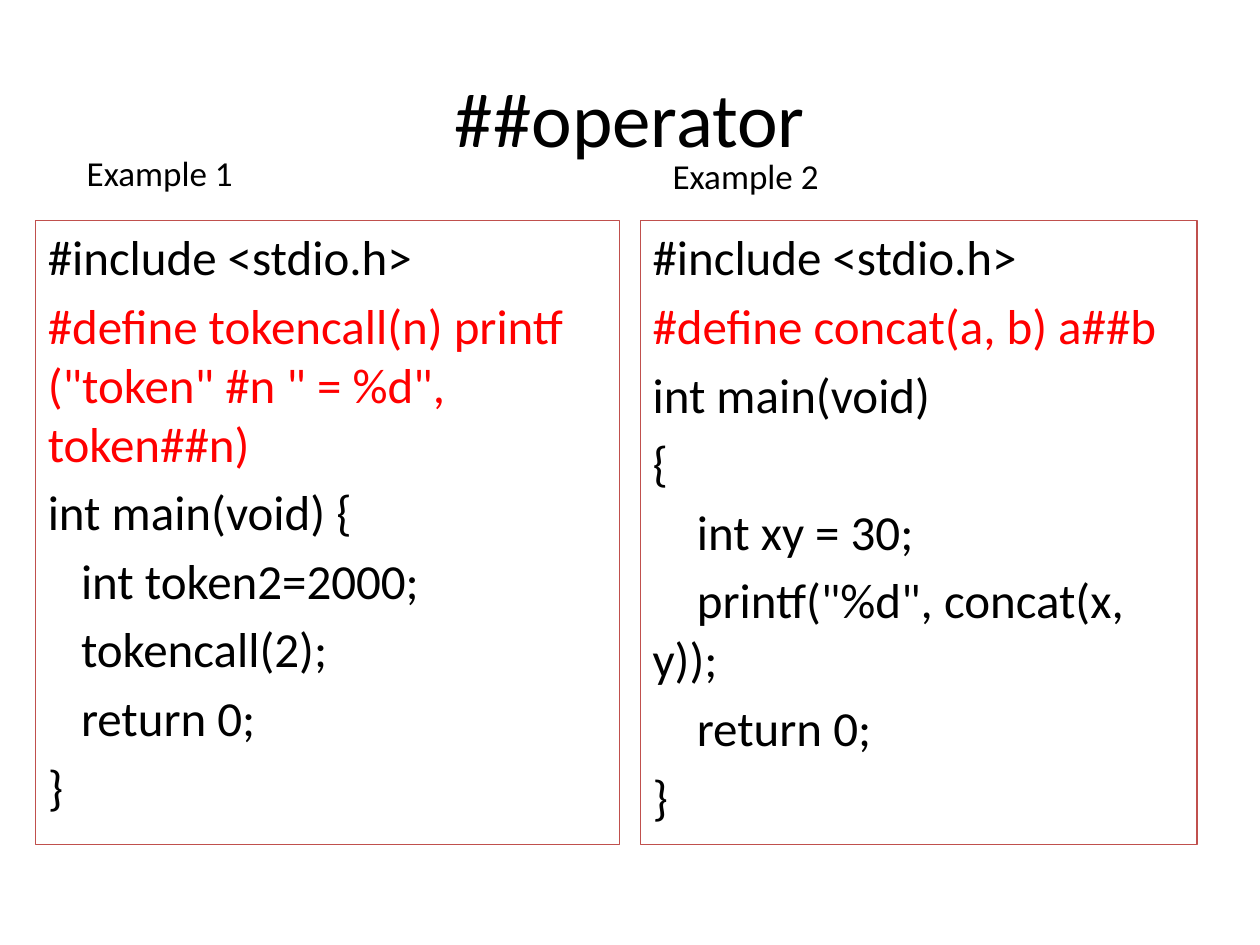
from dataclasses import dataclass

from pptx import Presentation
from pptx.dml.color import RGBColor
from pptx.enum.shapes import MSO_SHAPE as Shape
from pptx.enum.text import MSO_ANCHOR as Anchor, MSO_AUTO_SIZE as AutoSize, PP_ALIGN as Align
from pptx.util import Pt


@dataclass(frozen=True)
class Theme:
    font: str = "Calibri"
    ink: RGBColor = RGBColor(0, 0, 0)
    macro: RGBColor = RGBColor(255, 0, 0)
    border: RGBColor = RGBColor(0xC0, 0x50, 0x4D)
    title_size: int = 44
    code_size: int = 28
    label_size: int = 20


THEME = Theme()
CODE_TOP, CODE_HEIGHT = 126, 356.4

# Each code line is (text, is indented, is macro)
EXAMPLES = [
    dict(label="Example 1", label_at=(42.5, 82.8), left=20.2, width=334, indent=19, code=[
        ("#include <stdio.h>", False, False),
        ('#define tokencall(n) printf ("token" #n " = %d", token##n)', False, True),
        ("int main(void) {", False, False),
        ("int token2=2000;", True, False),
        ("tokencall(2);", True, False),
        ("return 0;", True, False),
        ("}", False, False),
    ]),
    dict(label="Example 2", label_at=(377.3, 85), left=365.8, width=318.2, indent=25.3, code=[
        ("#include <stdio.h>", False, False),
        ("#define concat(a, b) a##b", False, True),
        ("int main(void)", False, False),
        ("{", False, False),
        ("int xy = 30;", True, False),
        ('printf("%d", concat(x, y));', True, False),
        ("return 0;", True, False),
        ("}", False, False),
    ]),
]


def apply(target, formats):
    for name, value in formats.items():
        setattr(target, name, value)


def write(paragraph, text, size, color=THEME.ink, **formats):
    apply(paragraph, {"alignment": Align.LEFT, **formats})
    run = paragraph.add_run()
    run.text = text
    apply(run.font, {"name": THEME.font, "size": Pt(size)})
    run.font.color.rgb = color


def add_title(slide, text):
    title = slide.shapes.title
    apply(title, {"left": Pt(36), "top": Pt(21.6), "width": Pt(648), "height": Pt(90)})
    apply(title.text_frame, {"vertical_anchor": Anchor.MIDDLE, "word_wrap": True})
    write(title.text_frame.paragraphs[0], text, THEME.title_size, alignment=Align.CENTER)


def add_code(slide, left, width, indent, lines):
    panel = slide.shapes.add_shape(
        Shape.RECTANGLE, Pt(left), Pt(CODE_TOP), Pt(width), Pt(CODE_HEIGHT))
    panel.shadow.inherit = False
    panel.fill.background()
    panel.line.color.rgb = THEME.border
    panel.line.width = Pt(0.75)
    frame = panel.text_frame
    apply(frame, {"vertical_anchor": Anchor.TOP, "word_wrap": True})
    for number, (text, indented, is_macro) in enumerate(lines):
        line = frame.add_paragraph() if number else frame.paragraphs[0]
        write(line, text, THEME.code_size, THEME.macro if is_macro else THEME.ink,
              space_before=Pt(THEME.code_size * 0.2))
        if indented:
            # First-line indent only, so wrapped code returns to the margin
            properties = line._p.get_or_add_pPr()
            properties.set("marL", "0")
            properties.set("indent", str(int(Pt(indent))))


def add_label(slide, text, left, top):
    label = slide.shapes.add_textbox(Pt(left), Pt(top), Pt(124.6), Pt(31.5))
    apply(label.text_frame, {"word_wrap": True, "auto_size": AutoSize.SHAPE_TO_FIT_TEXT})
    write(label.text_frame.paragraphs[0], text, THEME.label_size)


def main():
    deck = Presentation()
    apply(deck, {"slide_width": Pt(720), "slide_height": Pt(540)})
    slide = deck.slides.add_slide(deck.slide_layouts[5])

    # Heading
    add_title(slide, "##operator")

    # Code panels, then their labels
    for example in EXAMPLES:
        add_code(slide, example["left"], example["width"], example["indent"], example["code"])
    for example in EXAMPLES:
        add_label(slide, example["label"], *example["label_at"])

    deck.save("out.pptx")


main()
